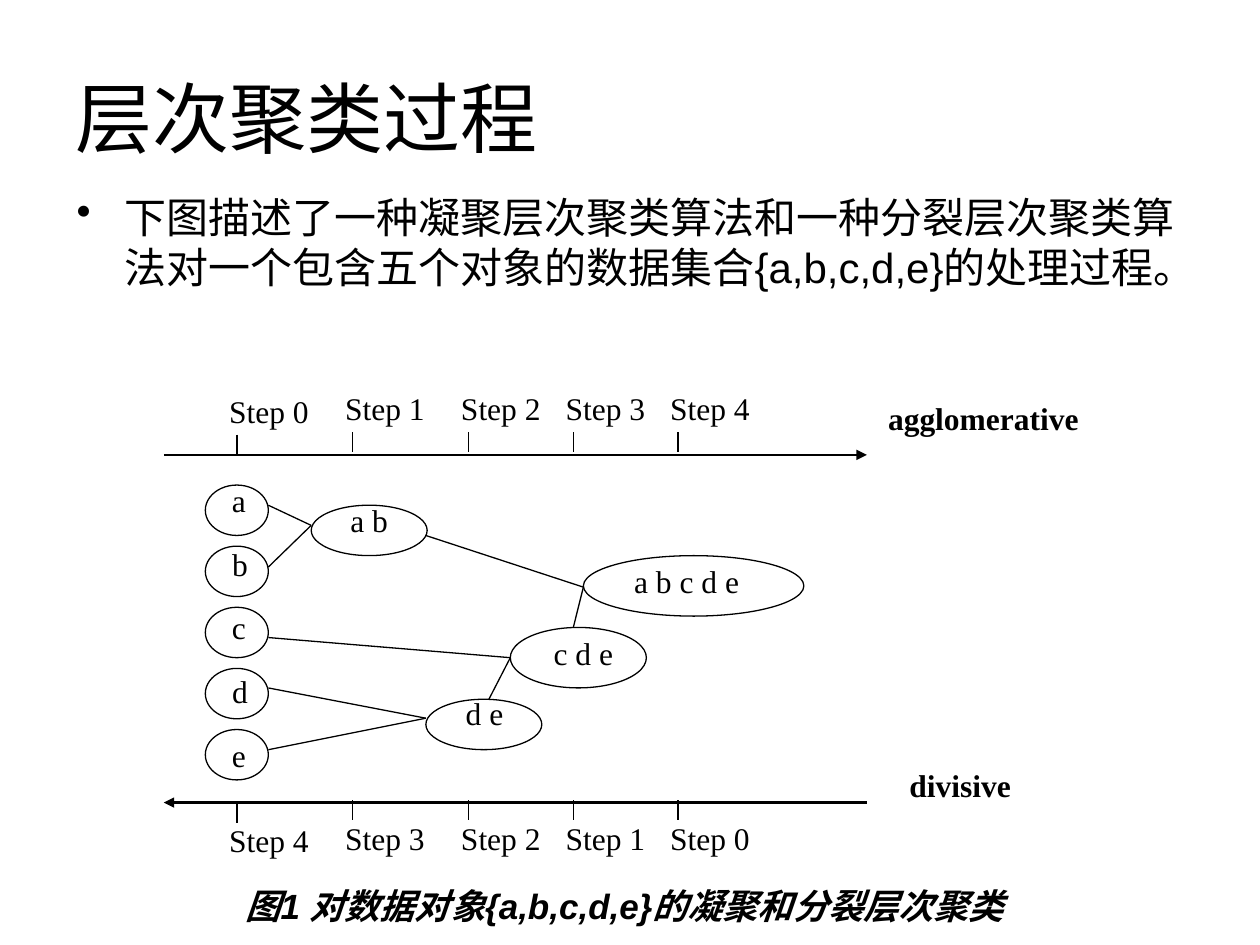
"""Build a slide that explains agglomerative and divisive hierarchical clustering."""
import pptx
import pptx.dml.color
import pptx.enum.shapes
import pptx.enum.text
import pptx.oxml
import pptx.oxml.ns
import pptx.util
from pptx.util import Inches

BLACK = "000000"
SERIF = "Times New Roman"
TICKS = [1.88, 2.8, 3.72, 4.55, 5.38]
LEAF_LABEL_WIDTHS = {"a": 0.31, "b": 0.33, "c": 0.31, "d": 0.33, "e": 0.31}
CLUSTERS = [
    ("a b", (2.68, 3.93, 0.5), (2.47, 4.01, 0.92, 0.4)),
    ("d e", (3.59, 5.46, 0.51), (3.38, 5.55, 0.92, 0.4)),
    ("c d e", (4.29, 4.98, 0.68), (4.05, 4.98, 1.08, 0.48)),
    ("a b c d e", (4.93, 4.41, 1.04), (4.63, 4.41, 1.75, 0.48)),
]
LINKS = [
    (2.13, 4.01, 2.47, 4.17),
    (2.13, 4.5, 2.47, 4.17),
    (2.13, 5.46, 3.38, 5.7),
    (2.13, 5.95, 3.38, 5.7),
    (2.13, 5.06, 4.05, 5.22),
    (3.88, 5.55, 4.05, 5.22),
    (3.38, 4.25, 4.63, 4.66),
    (4.55, 4.98, 4.63, 4.66),
]


def color(value):
    return pptx.dml.color.RGBColor.from_string(value)


def add_text(slide, text, left, top, width, height=0.4, size=18, font=SERIF,
             bold=False, italic=False, wrap=True, centered=True):
    box = slide.shapes.add_textbox(*map(Inches, (left, top, width, height)))
    frame = box.text_frame
    frame.text = text
    frame.word_wrap = wrap
    para = frame.paragraphs[0]
    if centered:
        para.alignment = pptx.enum.text.PP_ALIGN.CENTER
    for span in para.runs:
        span.font.name = font
        span.font.size = pptx.util.Pt(size)
        span.font.bold = bold
        span.font.italic = italic
        span.font.color.rgb = color(BLACK)
    return box


def add_bullet(box, indent):
    properties = box.text_frame.paragraphs[0]._p.get_or_add_pPr()
    properties.set("marL", str(Inches(indent)))
    properties.set("indent", str(-Inches(indent)))
    bullet = pptx.oxml.ns.qn("a:buChar")
    properties.append(properties.makeelement(bullet, {"char": "•"}))


def add_line(slide, x1, y1, x2, y2, weight=0.75, arrow=None):
    line = slide.shapes.add_connector(
        pptx.enum.shapes.MSO_CONNECTOR.STRAIGHT, *map(Inches, (x1, y1, x2, y2)))
    line.line.color.rgb = color(BLACK)
    line.line.width = pptx.util.Pt(weight)
    if arrow:
        outline = line.line._get_or_add_ln()
        end = pptx.oxml.ns.qn("a:" + arrow)
        outline.append(outline.makeelement(end, {"type": "triangle"}))
    properties = line._element.spPr
    properties.append(properties.makeelement(pptx.oxml.ns.qn("a:effectLst"), {}))


def add_ellipse(slide, left, top, width, height):
    ellipse = slide.shapes.add_shape(
        pptx.enum.shapes.MSO_SHAPE.OVAL, *map(Inches, (left, top, width, height)))
    ellipse.shadow.inherit = False
    ellipse.fill.background()
    ellipse.line.color.rgb = color(BLACK)
    ellipse.line.width = pptx.util.Pt(0.75)


def add_axis(slide, y, tick_top, label_top, steps, arrow):
    add_line(slide, 1.3, y, 6.88, y, weight=1.5, arrow=arrow)
    for x, step in zip(TICKS, steps):
        drop = 0.02 if x == TICKS[0] else 0
        add_line(slide, x, tick_top + drop, x, tick_top + drop + 0.16)
        add_text(slide, f"Step {step}", x - 0.16, label_top + drop, 0.83)


def add_cluster_tree(slide):
    for index, (name, width) in enumerate(LEAF_LABEL_WIDTHS.items()):
        add_text(slide, name, 1.74, 3.77 + 0.505 * index, width, wrap=False)
        add_ellipse(slide, 1.63, 3.85 + 0.485 * index, 0.5, 0.4)
    for name, label, outline in CLUSTERS:
        add_text(slide, name, *label, wrap=False)
        add_ellipse(slide, *outline)
    for link in LINKS:
        add_line(slide, *link)


def main():
    deck = pptx.Presentation()
    deck.slide_width, deck.slide_height = Inches(10), Inches(7.5)
    slide = deck.slides.add_slide(deck.slide_layouts[6])

    title = add_text(slide, "层次聚类过程", 0.5, 0.3, 9, 1.25,
                     size=44, font="Arial", centered=False)
    title.text_frame.vertical_anchor = pptx.enum.text.MSO_ANCHOR.MIDDLE
    body = add_text(
        slide,
        "下图描述了一种凝聚层次聚类算法和一种分裂层次聚类算法对一个包含五个对象的"
        "数据集合{a,b,c,d,e}的处理过程。",
        0.51, 1.47, 8.98, 5.93, size=24, font="Arial", centered=False)
    add_bullet(body, 0.38)

    add_axis(slide, 3.61, 3.43, 3.04, range(5), "tailEnd")
    add_cluster_tree(slide)
    add_axis(slide, 6.37, 6.35, 6.45, reversed(range(5)), "headEnd")
    add_text(slide, "agglomerative", 6.94, 3.12, 1.73, bold=True, wrap=False)
    add_text(slide, "divisive", 7.11, 6.03, 1.02, bold=True, wrap=False)
    add_text(slide, "图1 对数据对象{a,b,c,d,e}的凝聚和分裂层次聚类", 1.85, 6.97, 6.61, 0.44,
             size=20, font="Arial", bold=True, italic=True, centered=False)
    deck.save("out.pptx")


if __name__ == "__main__":
    main()
